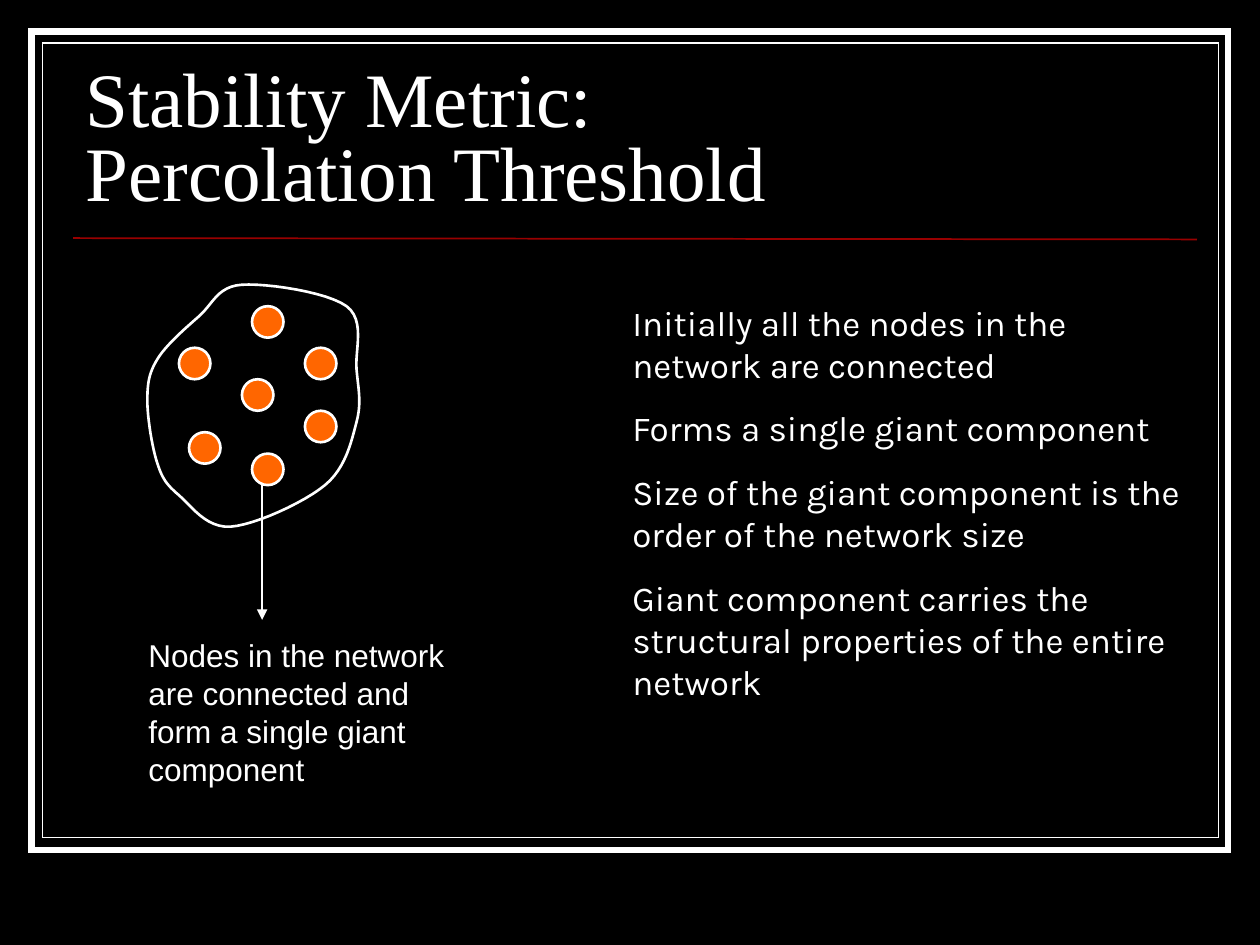
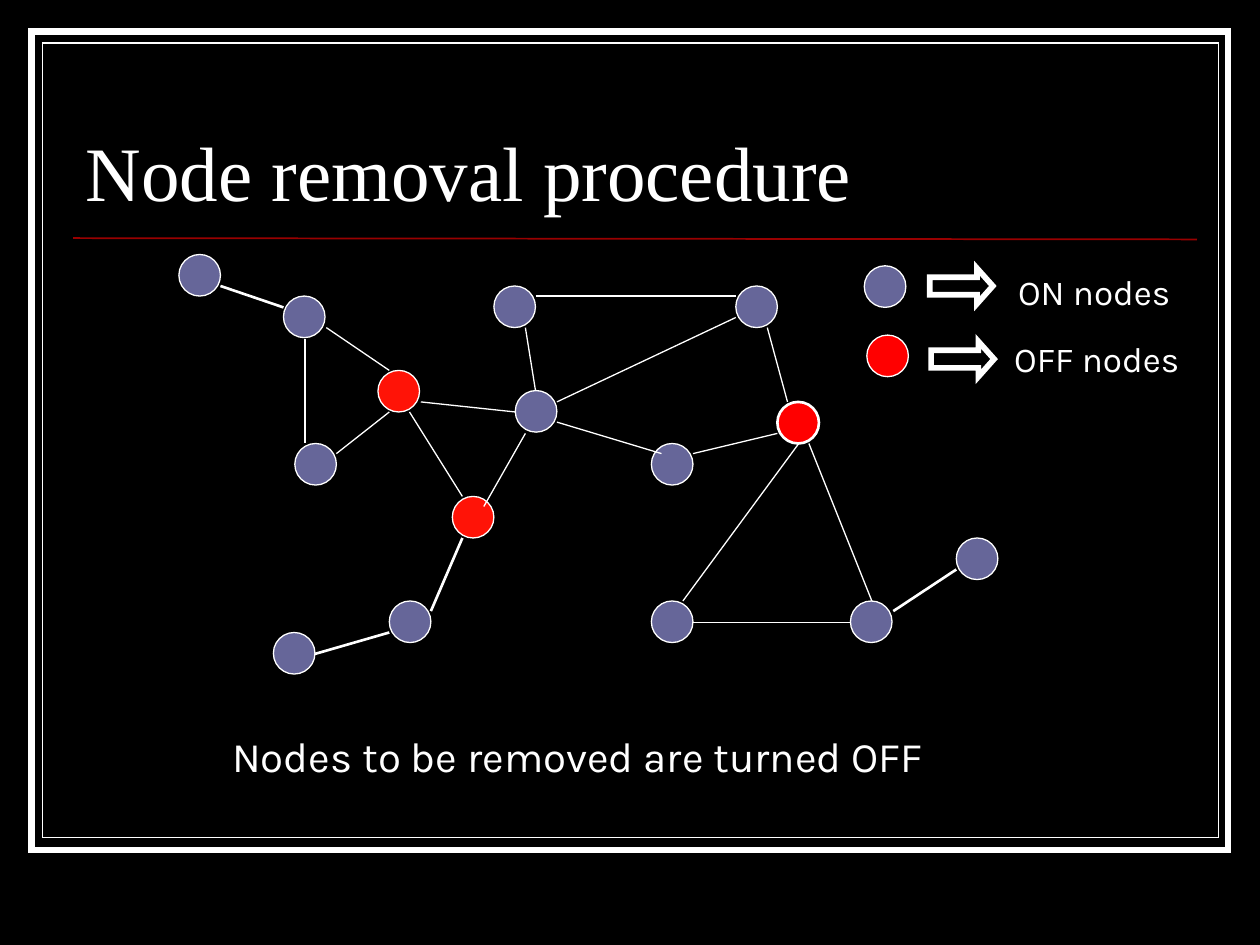
from lxml import etree
from pptx import Presentation
from pptx.dml.color import RGBColor
from pptx.enum import shapes, text
from pptx.oxml.ns import qn
from pptx.util import Inches, Pt

BLACK, WHITE, RULE_RED = "000000", "FFFFFF", "990000"
ORANGE, ON, OFF, BRIGHT_OFF = "FF6600", "666699", "FF1307", "FF0000"
TITLE_FONT, BODY_FONT, CAPTION_FONT = "Times New Roman", "Karla", "Arial"

# Shared frame: left, top, width, height, line width
FRAMES = [(0.25, 0.25, 9.5, 6.5, 3.5), (0.34, 0.34, 9.33, 6.31, 0.75)]
TITLE_BOX = (0.58, 0.52, 8.92, 1.25)
TITLE_RULE = ((0.58, 1.89), (9.5, 1.9))

# Slide 1
COMPONENT_POINTS = [
    (1.58, 2.51), (1.25, 2.85), (1.17, 3.18), (1.25, 3.68), (1.42, 3.93), (1.83, 4.18),
    (2.58, 3.85), (2.83, 3.35), (2.83, 2.93), (2.75, 2.43), (1.92, 2.26),
]
COMPONENT_NODES = [
    (2.42, 2.76), (2.42, 3.26), (2, 2.43), (1.42, 2.76), (2, 3.6), (1.5, 3.43), (1.92, 3.01),
]
COMPONENT_NODE_SIZE = 0.25
COMPONENT_ARROW = ((2.08, 3.83), (2.08, 4.92))
COMPONENT_CAPTION = "Nodes in the network are connected and form a single giant component"
STATEMENTS = [
    "Initially all the nodes in the network are connected",
    "Forms a single giant component",
    "Size of the giant component is the order of the network size",
    "Giant component carries the structural properties of the entire network",
]

# Slide 2
NODE_SIZE = 0.33
NETWORK_NODES = {
    ON: [
        (1.42, 2.02), (2.25, 2.35), (2.34, 3.52), (3.92, 2.27), (5.84, 2.27), (4.09, 3.1),
        (5.17, 3.52), (5.17, 4.77), (6.75, 4.77), (3.09, 4.77), (2.17, 5.02), (7.59, 4.27),
    ],
    OFF: [(3, 2.94), (3.59, 3.94)],
}
HIGHLIGHTED_NODE = (6.17, 3.19)
THIN_EDGES = [
    ((6.09, 2.6), (6.25, 3.19)), ((2.42, 2.69), (2.42, 3.52)), ((2.59, 2.6), (3.09, 2.94)),
    ((2.67, 3.6), (3.09, 3.27)), ((3.34, 3.19), (4.09, 3.27)), ((3.25, 3.27), (3.67, 3.94)),
    ((4.17, 3.44), (3.84, 4.02)), ((4.17, 2.6), (4.25, 3.1)), ((4.25, 2.35), (5.84, 2.35)),
    ((5.84, 2.52), (4.42, 3.19)), ((4.42, 3.35), (5.25, 3.6)), ((5.5, 3.6), (6.17, 3.44)),
    ((6.34, 3.52), (5.42, 4.77)), ((6.42, 3.52), (6.92, 4.77)), ((5.5, 4.94), (6.75, 4.94)),
]
THICK_EDGES = [
    ((1.75, 2.27), (2.25, 2.44)), ((3.09, 5.02), (2.5, 5.19)),
    ((3.67, 4.27), (3.42, 4.85)), ((7.59, 4.52), (7.09, 4.85)),
]
# Label, colour, and left-top corners of node, arrow and label
LEGEND = [
    ("ON nodes", ON, (6.86, 2.11), (7.38, 2.13), (7.81, 2.1)),
    ("OFF nodes", BRIGHT_OFF, (6.88, 2.66), (7.39, 2.71), (7.83, 2.63)),
]


def colour(hex_string):
    return RGBColor.from_string(hex_string)


def style_shape(shape, fill, line_width):
    shape.shadow.inherit = False
    if fill:
        shape.fill.solid()
        shape.fill.fore_color.rgb = colour(fill)
    else:
        shape.fill.background()
    shape.line.color.rgb = colour(WHITE)
    shape.line.width = Pt(line_width)
    etree.SubElement(shape.line._get_or_add_ln(), qn("a:miter"), lim="800000")


def add_preset(slide, preset, box, fill, line_width):
    shape = slide.shapes.add_shape(preset, *map(Inches, box))
    style_shape(shape, fill, line_width)
    return shape


def add_node(slide, corner, size, fill, line_width=0.75):
    add_preset(slide, shapes.MSO_SHAPE.OVAL, (*corner, size, size), fill, line_width)


def add_line(slide, ends, width=0.75, line_colour=WHITE, arrow=False):
    start, end = ends
    connector = slide.shapes.add_connector(
        shapes.MSO_CONNECTOR.STRAIGHT, *map(Inches, (*start, *end)))
    connector.line.color.rgb = colour(line_colour)
    connector.line.width = Pt(width)
    if arrow:
        etree.SubElement(connector.line._get_or_add_ln(), qn("a:tailEnd"), type="triangle")
    etree.SubElement(connector._element.spPr, qn("a:effectLst"))


def set_font(paragraph, name, size):
    paragraph.font.name = name
    paragraph.font.size = Pt(size)
    paragraph.font.color.rgb = colour(WHITE)


def add_text(slide, box, lines, font, size, alignment=text.PP_ALIGN.LEFT):
    frame = slide.shapes.add_textbox(*map(Inches, box)).text_frame
    frame.word_wrap = True
    frame.text = "\n".join(lines)
    for index, paragraph in enumerate(frame.paragraphs):
        paragraph.alignment = alignment
        if index:
            paragraph.space_before = Pt(12.5)
        set_font(paragraph, font, size)


def add_framed_slide(presentation, title):
    slide = presentation.slides.add_slide(presentation.slide_layouts[5])
    slide.background.fill.solid()
    slide.background.fill.fore_color.rgb = colour(BLACK)
    for *box, line_width in FRAMES:
        add_preset(slide, shapes.MSO_SHAPE.RECTANGLE, box, None, line_width)
    add_line(slide, TITLE_RULE, 1, RULE_RED)

    placeholder = slide.shapes.title
    placeholder.left, placeholder.top, placeholder.width, placeholder.height = map(
        Inches, TITLE_BOX)
    frame = placeholder.text_frame
    frame.text = title
    frame.auto_size = text.MSO_AUTO_SIZE.NONE
    frame.vertical_anchor = text.MSO_ANCHOR.BOTTOM
    paragraph = frame.paragraphs[0]
    paragraph.alignment = text.PP_ALIGN.LEFT
    paragraph.line_spacing = 0.8
    set_font(paragraph, TITLE_FONT, 44)
    return slide


def smooth_outline(points, steps=12):
    """Return points, in EMU, along a closed Catmull-Rom curve through points in inches."""
    outline = []
    count = len(points)
    for index in range(count):
        neighbours = [points[(index + offset) % count] for offset in (-1, 0, 1, 2)]
        for step in range(steps):
            t = step / steps
            outline.append(tuple(
                Inches(b + t * (c - a) / 2
                       + t ** 2 * (2 * a - 5 * b + 4 * c - d) / 2
                       + t ** 3 * (3 * b - a - 3 * c + d) / 2)
                for a, b, c, d in zip(*neighbours)))
    return outline


def build_threshold_slide(presentation):
    slide = add_framed_slide(presentation, "Stability Metric:\vPercolation Threshold")
    start, *rest = smooth_outline(COMPONENT_POINTS)
    builder = slide.shapes.build_freeform(*start)
    builder.add_line_segments(rest, close=True)
    style_shape(builder.convert_to_shape(), BLACK, 1.5)
    for corner in COMPONENT_NODES:
        add_node(slide, corner, COMPONENT_NODE_SIZE, ORANGE, 1.5)
    add_text(slide, (4.92, 2.34, 4.58, 3.29), STATEMENTS, BODY_FONT, 20)
    add_line(slide, COMPONENT_ARROW, arrow=True)
    add_text(slide, (1.08, 5, 2.75, 1.3), [COMPONENT_CAPTION], CAPTION_FONT, 18)


def build_removal_slide(presentation):
    slide = add_framed_slide(presentation, "Node removal procedure")
    centre = text.PP_ALIGN.CENTER
    for label, fill, node_corner, arrow_corner, label_corner in LEGEND:
        add_node(slide, node_corner, NODE_SIZE, fill)
        arrow = add_preset(
            slide, shapes.MSO_SHAPE.RIGHT_ARROW, (*arrow_corner, 0.5, 0.28), BLACK, 3.25)
        arrow.adjustments[1] = 0.445
        add_text(slide, (*label_corner, 1.75, 0.44), [label], BODY_FONT, 20, centre)

    for fill, corners in NETWORK_NODES.items():
        for corner in corners:
            add_node(slide, corner, NODE_SIZE, fill)
    add_node(slide, HIGHLIGHTED_NODE, NODE_SIZE, BRIGHT_OFF, 1.5)
    for edges, width in ((THIN_EDGES, 0.75), (THICK_EDGES, 1.5)):
        for ends in edges:
            add_line(slide, ends, width)
    add_text(slide, (0.92, 5.75, 7.33, 0.5), ["Nodes to be removed are turned OFF"],
             BODY_FONT, 24, centre)


def main():
    presentation = Presentation()
    presentation.slide_width, presentation.slide_height = Inches(10), Inches(7.5)
    build_threshold_slide(presentation)
    build_removal_slide(presentation)
    presentation.save("out.pptx")


if __name__ == "__main__":
    main()
